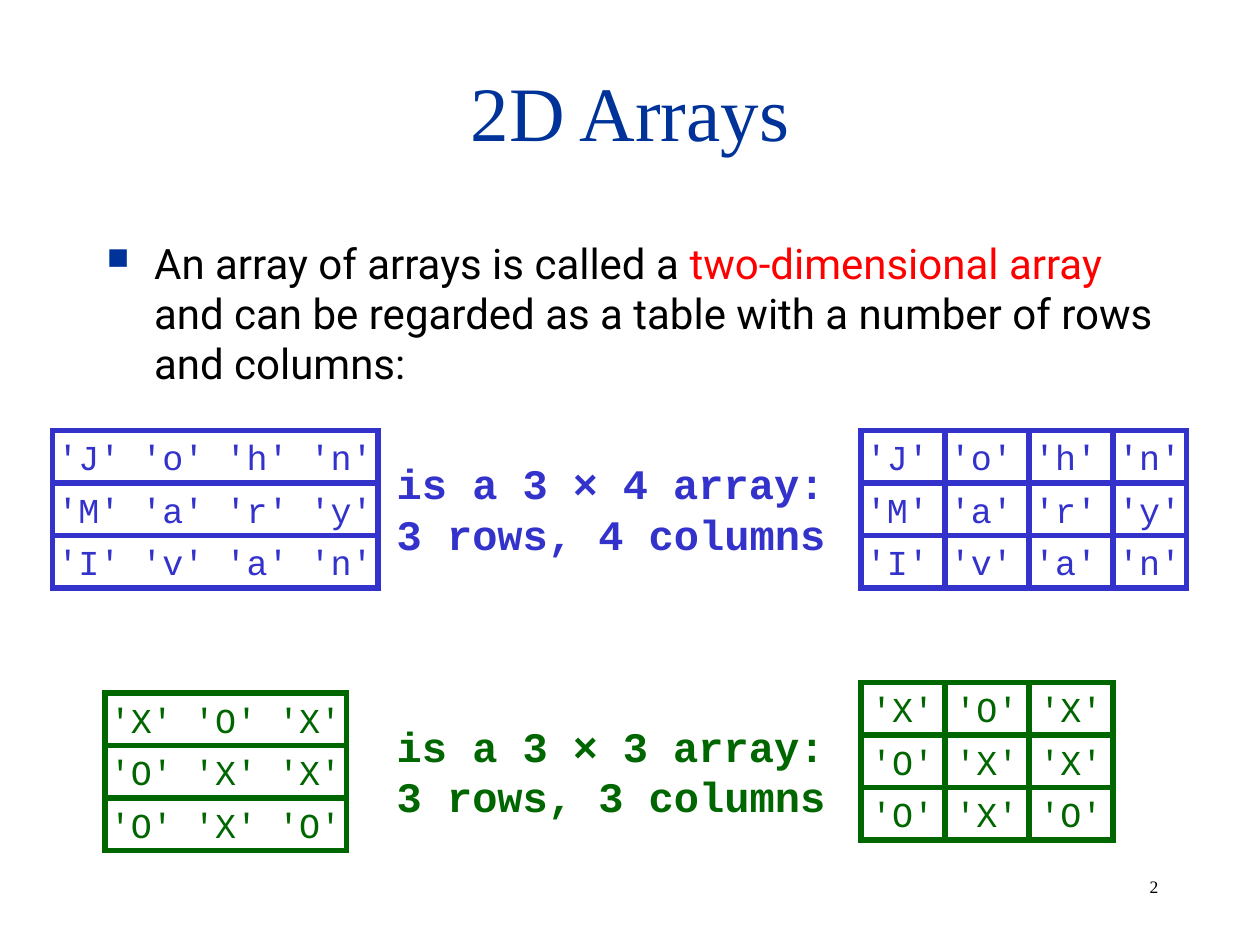
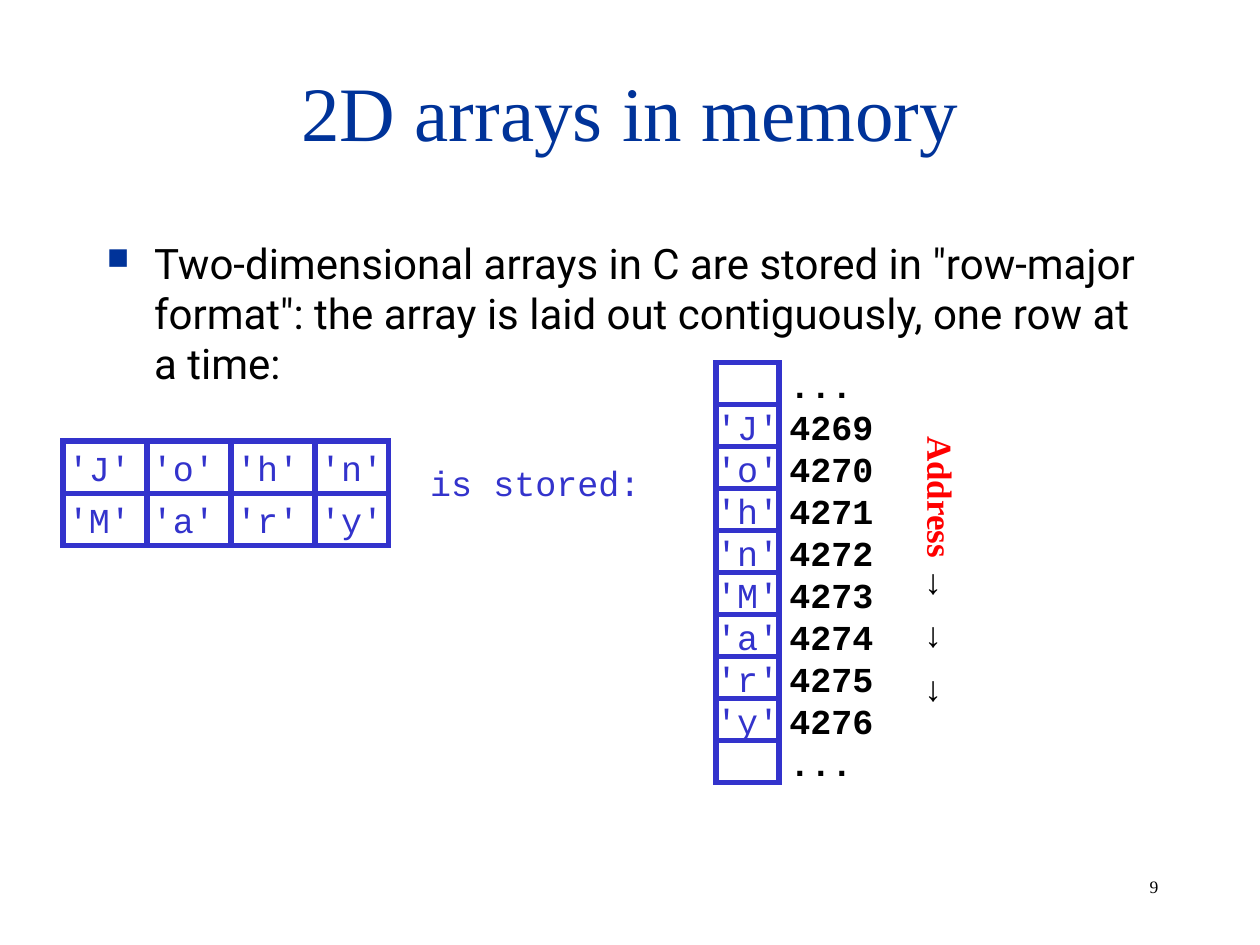
"""Build two slides about two-dimensional arrays and their memory layout."""
from dataclasses import dataclass
from typing import Optional

import lxml.etree
import pptx
import pptx.dml.color
import pptx.enum.shapes
import pptx.enum.text
import pptx.oxml.ns
import pptx.util

PX = 7620
ALIGN = pptx.enum.text.PP_ALIGN
ANCHOR = pptx.enum.text.MSO_ANCHOR
qn = pptx.oxml.ns.qn


@dataclass(frozen=True)
class Theme:
    """Colours, fonts, type sizes in points and shared lengths in px."""
    navy: str = "003399"
    blue: str = "3333CC"
    green: str = "006600"
    red: str = "FF0000"
    black: str = "000000"
    serif: str = "Times New Roman"
    sans: str = "Arial"
    body: str = "Roboto"
    mono: str = "Courier New"
    title_size: int = 44
    body_size: int = 24
    code_size: int = 20
    number_size: int = 10
    bullet_percent: int = 72
    line_height: float = 1.2
    line_width: int = 3
    inset: int = 12
    row_height: int = 50
    column_width: int = 80
    byte_height: int = 40


T = Theme()


@dataclass(frozen=True)
class Box:
    """A rectangle in px."""
    x: int
    y: int
    w: int
    h: int

    def emu(self) -> tuple[int, ...]:
        """Return left, top, width and height in EMU."""
        return tuple(v * PX for v in (self.x, self.y, self.w, self.h))


@dataclass(frozen=True)
class Style:
    """The look of a paragraph."""
    font: str
    size: int
    color: str
    bold: bool = False
    align: ALIGN = ALIGN.LEFT


@dataclass(frozen=True)
class Span:
    """A run that may differ from its paragraph; tracking is in points."""
    text: str
    color: Optional[str] = None
    font: Optional[str] = None
    bold: Optional[bool] = None
    tracking: float = 0


@dataclass(frozen=True)
class Grid:
    """A stack of array rows, divided into columns on request."""
    x: int
    y: int
    w: int
    color: str
    rows: tuple[str, ...]
    dividers: int = 0


NAMES = ("'J' 'o' 'h' 'n'", "'M' 'a' 'r' 'y'", "'I' 'v' 'a' 'n'")
BOARD = ("'X' 'O' 'X'", "'O' 'X' 'X'", "'O' 'X' 'O'")
GRIDS = (
    Grid(50, 410, 310, T.blue, NAMES),
    Grid(820, 410, 310, T.blue, NAMES, 3),
    Grid(100, 660, 230, T.green, BOARD),
    Grid(820, 650, 240, T.green, BOARD, 2),
)
STORED = Grid(60, 420, 310, T.blue, NAMES[:2], 3)


def rgb(color: str) -> pptx.dml.color.RGBColor:
    """Turn a hex string into a colour."""
    return pptx.dml.color.RGBColor.from_string(color)


def write(shape, style: Style, *spans: Span, wrap: bool = True,
          margin: int = 6, anchor: ANCHOR = ANCHOR.TOP):
    """Fill a shape with one paragraph and return the paragraph."""
    tf = shape.text_frame
    tf.word_wrap = wrap
    tf.auto_size = pptx.enum.text.MSO_AUTO_SIZE.NONE
    tf.vertical_anchor = anchor
    tf.margin_left = tf.margin_right = T.inset * PX
    tf.margin_top = tf.margin_bottom = margin * PX
    p = tf.paragraphs[0]
    p.alignment = style.align
    p.line_spacing = pptx.util.Pt(style.size * T.line_height)
    p.font.name, p.font.bold = style.font, style.bold
    p.font.size = pptx.util.Pt(style.size)
    p.font.color.rgb = rgb(style.color)
    for span in spans:
        for i, line in enumerate(span.text.split("\n")):
            if i:
                p.add_line_break()
            r = p.add_run()
            r.text = line
            if span.color:
                r.font.color.rgb = rgb(span.color)
            if span.font:
                r.font.name = span.font
            if span.bold is not None:
                r.font.bold = span.bold
            if span.tracking:
                r.font._element.set("spc", str(round(span.tracking * 100)))
    return p


def add_text(s, box: Box, style: Style, *spans: Span, wrap: bool = True):
    """Add a text box and return it."""
    sp = s.shapes.add_textbox(*box.emu())
    write(sp, style, *spans, wrap=wrap)
    return sp


def add_frame(s, box: Box, color: str):
    """Add an unfilled rectangle outlined with square corners."""
    sp = s.shapes.add_shape(pptx.enum.shapes.MSO_SHAPE.RECTANGLE, *box.emu())
    sp.shadow.inherit = False
    sp.fill.background()
    sp.line.color.rgb = rgb(color)
    sp.line.width = pptx.util.Pt(T.line_width)
    ln = sp._element.spPr.find(qn("a:ln"))
    lxml.etree.SubElement(ln, qn("a:miter"), lim="800000")
    return sp


def add_divider(s, x: int, top: int, bottom: int, color: str) -> None:
    """Add a vertical line between two columns."""
    line = s.shapes.add_connector(pptx.enum.shapes.MSO_CONNECTOR.STRAIGHT,
                                  x * PX, top * PX, x * PX, bottom * PX)
    line.line.color.rgb = rgb(color)
    line.line.width = pptx.util.Pt(T.line_width)
    lxml.etree.SubElement(line._element.spPr, qn("a:effectLst"))


def add_grid(s, grid: Grid) -> None:
    """Draw the rows of an array and its column dividers."""
    style = Style(T.mono, T.code_size, grid.color, align=ALIGN.CENTER)
    for i, row in enumerate(grid.rows):
        box = Box(grid.x, grid.y + i * T.row_height, grid.w, T.row_height)
        write(add_frame(s, box, grid.color), style, Span(row), wrap=False,
              margin=4, anchor=ANCHOR.MIDDLE)
    bottom = grid.y + len(grid.rows) * T.row_height
    for i in range(1, grid.dividers + 1):
        add_divider(s, grid.x + i * T.column_width, grid.y, bottom, grid.color)


def add_bullet(s, height: int, *spans: Span) -> None:
    """Add the bulleted body text."""
    sp = s.shapes.add_textbox(*Box(90, 220, 1020, height).emu())
    p = write(sp, Style(T.body, T.body_size, T.black), *spans)
    pPr = p._p.get_or_add_pPr()
    pPr.set("marL", str(45 * PX))
    pPr.set("indent", str(-45 * PX))
    color = lxml.etree.Element(qn("a:buClr"))
    lxml.etree.SubElement(color, qn("a:srgbClr"), val=T.navy)
    size = lxml.etree.Element(qn("a:buSzPct"), val=str(T.bullet_percent * 1000))
    char = lxml.etree.Element(qn("a:buChar"), char="■")
    at = pPr.index(pPr.find(qn("a:defRPr")))
    pPr[at:at] = [color, size, char]


def add_slide(prs, title: str, number: int):
    """Add a slide with its title and number."""
    s = prs.slides.add_slide(prs.slide_layouts[5])
    sp = s.shapes.title
    sp.left, sp.top, sp.width, sp.height = Box(90, 30, 1020, 150).emu()
    write(sp, Style(T.serif, T.title_size, T.navy, align=ALIGN.CENTER),
          Span(title), anchor=ANCHOR.MIDDLE)
    add_text(s, Box(1083, 828, 94, 32),
             Style(T.serif, T.number_size, T.black), Span(str(number)))
    return s


def add_size_caption(s, y: int, columns: int, color: str) -> None:
    """State the dimensions of an array with three rows."""
    add_text(s, Box(366, y, 439, 108),
             Style(T.mono, T.body_size, color, bold=True),
             Span("is a 3 "), Span("×", font=T.sans),
             Span(f" {columns} array:\n3 rows, {columns} columns"))


def build_arrays(prs) -> None:
    """Build the slide that introduces arrays of arrays."""
    s = add_slide(prs, "2D Arrays", 2)
    add_bullet(s, 170, Span("An array of arrays is called a "),
               Span("two-dimensional array", color=T.red),
               Span(" and can be regarded as a table with a number of rows"
                    " and columns:"))
    for grid in GRIDS:
        add_grid(s, grid)
    add_size_caption(s, 430, 4, T.blue)
    add_size_caption(s, 680, 3, T.green)


def build_memory(prs) -> None:
    """Build the slide that shows row-major storage."""
    s = add_slide(prs, "2D arrays in memory", 9)
    add_bullet(s, 610, Span(
        'Two-dimensional arrays in C are stored in "row-major format": '
        "the array is laid out contiguously, one row at a time:"))
    add_grid(s, STORED)
    code = Style(T.mono, T.code_size, T.blue)
    add_text(s, Box(398, 434, 230, 53), code, Span("is stored:"))

    letters = " ".join(STORED.rows).split()
    letter_style = Style(T.mono, T.code_size, T.blue, align=ALIGN.CENTER)
    for i, letter in enumerate(["", *letters, ""]):
        y = 345 + i * T.byte_height
        if letter:
            add_text(s, Box(670, y - 5, 84, 53), letter_style, Span(letter),
                     wrap=False)
        add_frame(s, Box(682, y, 60, T.byte_height), T.blue)

    label = add_text(
        s, Box(731, 519, 330, 53),
        Style(T.serif, T.code_size, T.red, bold=True, align=ALIGN.CENTER),
        Span("Address "),
        Span("→ → →", color=T.black, font=T.sans, bold=False, tracking=2.5))
    label.rotation = 90
    addresses = [str(4269 + i) for i in range(len(letters))]
    add_text(s, Box(740, 340, 120, 413),
             Style(T.mono, T.code_size, T.black, bold=True),
             Span("\n".join(["...", *addresses, "..."])))


def main() -> None:
    """Build and save the presentation."""
    prs = pptx.Presentation()
    prs.slide_width, prs.slide_height = 1200 * PX, 900 * PX
    build_arrays(prs)
    build_memory(prs)
    prs.save("out.pptx")


if __name__ == "__main__":
    main()
